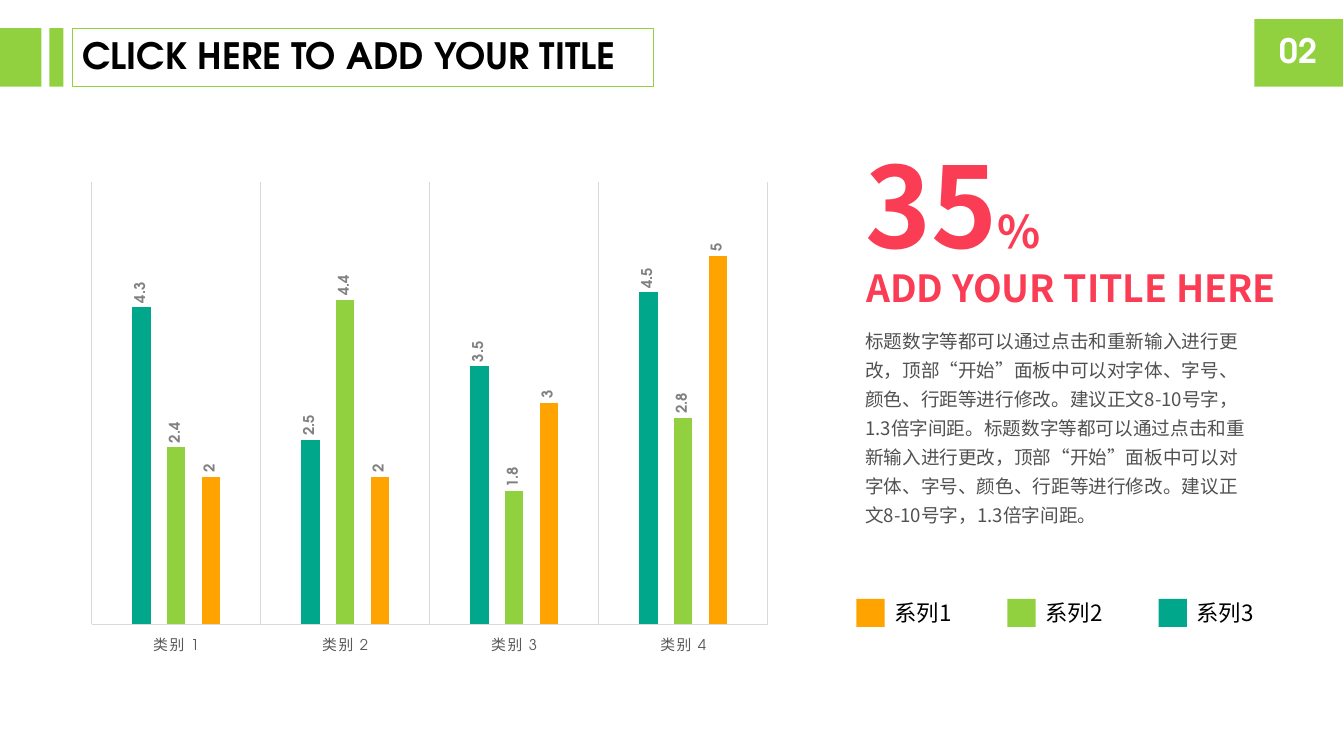
from lxml.etree import SubElement
from pptx import Presentation
from pptx.chart.data import CategoryChartData
from pptx.dml.color import RGBColor
from pptx.enum.chart import XL_CHART_TYPE as ChartType, XL_LABEL_POSITION as LabelPosition
from pptx.enum.chart import XL_TICK_LABEL_POSITION as TickLabels, XL_TICK_MARK as TickMark
from pptx.enum.shapes import MSO_SHAPE as Preset
from pptx.enum.text import MSO_ANCHOR as Anchor, MSO_AUTO_SIZE as AutoSize, PP_ALIGN as Align
from pptx.oxml import parse_xml
from pptx.oxml.ns import nsdecls, qn
from pptx.util import Inches, Pt

HEADING, BODY = "TeX Gyre Adventor", "Noto Sans CJK SC"
GREEN, TEAL, ORANGE, RED = "91D140", "00A78B", "FFA300", "FA3C54"
BLACK, WHITE, DARK, GRAY, RULE = "000000", "FFFFFF", "515151", "808080", "D9D9D9"
ADVICE = ("标题数字等都可以通过点击和重新输入进行更改，顶部“开始”面板中可以对字体、字号、"
          "颜色、行距等进行修改。建议正文8-10号字，1.3倍字间距。")


def color(value):
    return RGBColor.from_string(value)


class SlideBuilder:
    """Draws styled elements on the current slide."""

    def __init__(self, slide):
        self.slide = slide

    def style_font(self, font, size, fill, name, bold=False):
        font.size, font.name, font.bold = Pt(size), name, bold
        font.color.rgb = color(fill)

    def box(self, left, top, width, height, fill=None, line=None, shapes=None):
        shape = (shapes or self.slide.shapes).add_shape(
            Preset.RECTANGLE, Inches(left), Inches(top), Inches(width), Inches(height))
        shape.shadow.inherit = False
        if fill:
            shape.fill.solid()
            shape.fill.fore_color.rgb = color(fill)
        else:
            shape.fill.background()
        if line:
            shape.line.color.rgb = color(line)
            shape.line.width = Pt(1)
        else:
            shape.line.fill.background()

    def text(self, left, top, width, height, runs, fill, name=BODY, bold=False, wrap=True,
             grow=True, anchor=Anchor.TOP, align=Align.LEFT, spacing=1.0, shapes=None):
        shape = (shapes or self.slide.shapes).add_textbox(
            Inches(left), Inches(top), Inches(width), Inches(height))
        frame = shape.text_frame
        frame.word_wrap = wrap
        frame.auto_size = AutoSize.SHAPE_TO_FIT_TEXT if grow else AutoSize.NONE
        frame.vertical_anchor = anchor
        paragraph = frame.paragraphs[0]
        paragraph.alignment = align
        paragraph.line_spacing = spacing
        for content, size in runs:
            run = paragraph.add_run()
            run.text = content
            self.style_font(run.font, size, fill, name, bold)
            SubElement(run.font._element, qn("a:ea"), typeface=name)

    def legend_item(self, left, label, fill):
        group = self.slide.shapes.add_group_shape()
        self.box(left, 5.94, 0.28, 0.28, fill, shapes=group.shapes)
        self.text(left + 0.28, 5.89, 0.94, 0.37, [(label, 16)], BLACK,
                  anchor=Anchor.MIDDLE, shapes=group.shapes)

    def column_chart(self, left, top, width, height, categories, series_rows):
        data = CategoryChartData()
        data.categories = categories
        for name, values, _ in series_rows:
            data.add_series(name, values)
        chart = self.slide.shapes.add_chart(
            ChartType.COLUMN_CLUSTERED, Inches(left), Inches(top),
            Inches(width), Inches(height), data).chart
        chart.has_legend = chart.has_title = False
        self.style_font(chart.font, 10, BLACK, HEADING)

        plot = chart.plots[0]
        plot.gap_width, plot.overlap, plot.vary_by_categories = 444, -90, False
        for series, (_, _, fill) in zip(plot.series, series_rows):
            series.format.fill.solid()
            series.format.fill.fore_color.rgb = color(fill)
            labels = series.data_labels
            labels.show_value = True
            labels.position = LabelPosition.OUTSIDE_END
            self.style_font(labels.font, 10.6, GRAY, HEADING, True)
            body = labels._element.find(".//" + qn("a:bodyPr"))
            body.set("rot", "-5400000")
            body.set("vert", "horz")

        axis = chart.category_axis
        axis.major_tick_mark = axis.minor_tick_mark = TickMark.NONE
        axis.tick_label_position = TickLabels.LOW
        axis.has_major_gridlines = True
        for line in (axis.format.line, axis.major_gridlines.format.line):
            line.color.rgb = color(RULE)
            line.width = Pt(0.75)
        self.style_font(axis.tick_labels.font, 10.6, "595959", HEADING)
        axis._element.find(".//" + qn("a:defRPr")).set("spc", "120")

        scale = chart.value_axis
        scale.minimum_scale, scale.maximum_scale = 0, 6
        scale.has_major_gridlines = False
        scale.visible = False

        area = chart._chartSpace.find(".//" + qn("c:plotArea"))
        for old in area.findall(qn("c:layout")):
            area.remove(old)
        area.insert(0, parse_xml(
            f'<c:layout {nsdecls("c")}><c:manualLayout><c:layoutTarget val="inner"/>'
            '<c:xMode val="edge"/><c:yMode val="edge"/><c:x val="0.02"/><c:y val="0.02"/>'
            '<c:w val="0.96"/><c:h val="0.91"/></c:manualLayout></c:layout>'))


def main():
    presentation = Presentation()
    presentation.slide_width, presentation.slide_height = Inches(13.34), Inches(7.5)
    builder = SlideBuilder(presentation.slides.add_slide(presentation.slide_layouts[6]))

    title_area, number_area = (0.72, 0.28, 5.77, 0.58), (12.45, 0.19, 0.88, 0.67)
    builder.box(*title_area, line=GREEN)
    builder.box(*number_area, fill=GREEN)
    builder.box(0, 0.28, 0.41, 0.58, GREEN)
    builder.box(0.49, 0.28, 0.14, 0.58, GREEN)
    heading = dict(name=HEADING, bold=True, grow=False, anchor=Anchor.MIDDLE, spacing=0.9)
    builder.text(*number_area, [("02", 24)], WHITE, align=Align.CENTER, **heading)
    builder.text(*title_area, [("CLICK HERE TO ADD YOUR TITLE", 25.9)], BLACK, **heading)

    builder.column_chart(
        0.77, 1.71, 6.99, 4.82, [f"类别 {number}" for number in range(1, 5)],
        [("Series 1", (4.3, 2.5, 3.5, 4.5), TEAL),
         ("Series 2", (2.4, 4.4, 1.8, 2.8), GREEN),
         ("Series 3", (2, 2, 3, 5), ORANGE)])

    builder.text(8.49, 3.16, 4.07, 2.14, [(ADVICE * 2, 13.3)], DARK, spacing=1.3)
    builder.text(8.49, 1.31, 2, 1.45, [("35", 80), ("%", 32)], RED, bold=True, wrap=False)
    builder.text(8.5, 2.58, 4.51, 0.55, [("ADD YOUR TITLE HERE", 26.7)], RED,
                 bold=True, wrap=False)
    for index, fill in enumerate((ORANGE, GREEN, TEAL)):
        builder.legend_item(8.5 + 1.5 * index, f"系列{index + 1}", fill)

    presentation.save("out.pptx")


if __name__ == "__main__":
    main()
